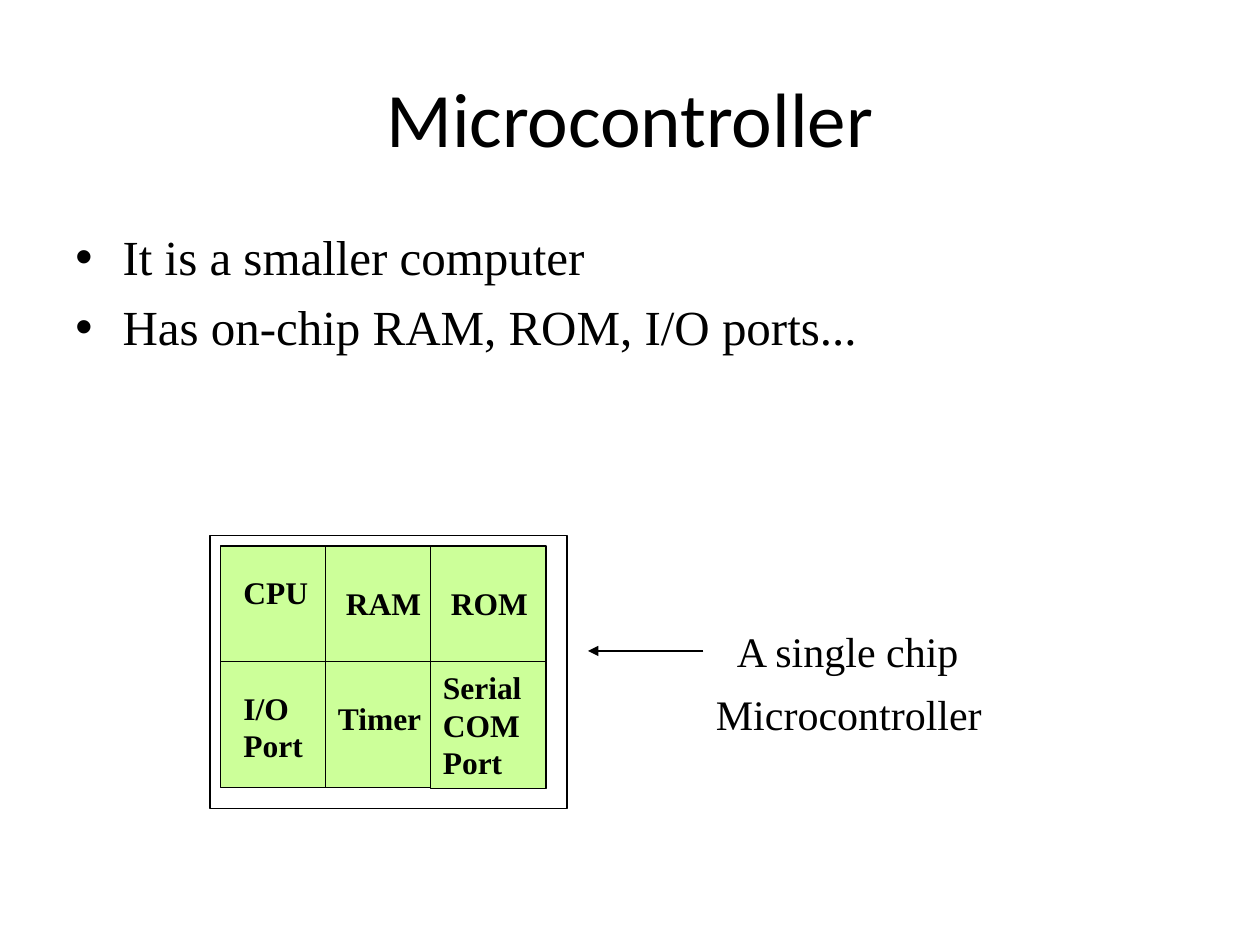
from pptx import Presentation
from pptx import util as u
from pptx.dml import color
from pptx.enum import shapes, text
from pptx.oxml import ns
from lxml import etree

Pt = u.Pt
BLACK, GREEN = "000000", "CCFF99"
SERIF = "Times New Roman"


def rgb(value):
    return color.RGBColor.from_string(value)


def write(shape, lines, size, bold=False, indent=0):
    """Fill a shape with left-aligned, top-anchored serif text."""
    frame = shape.text_frame
    frame.word_wrap = True
    frame.vertical_anchor = text.MSO_ANCHOR.TOP
    frame.margin_left = Pt(7.2 + indent)
    frame.text = "\n".join(lines)
    for paragraph in frame.paragraphs:
        paragraph.alignment = text.PP_ALIGN.LEFT
        font = paragraph.font
        font.name, font.size, font.bold = SERIF, Pt(size), bold
        font.color.rgb = rgb(BLACK)


prs = Presentation()
prs.slide_width, prs.slide_height = Pt(720), Pt(540)
slide = prs.slides.add_slide(prs.slide_layouts[5])
items = slide.shapes

# Title
title = items.title
title.left, title.top, title.width, title.height = Pt(36), Pt(21.6), Pt(648), Pt(90)
title.text_frame.text = "Microcontroller"
title.text_frame.vertical_anchor = text.MSO_ANCHOR.MIDDLE
heading = title.text_frame.paragraphs[0]
heading.alignment = text.PP_ALIGN.CENTER
heading.font.name, heading.font.size = "Calibri", Pt(44)
heading.font.color.rgb = rgb(BLACK)

# Bullet points
points = items.add_textbox(Pt(36), Pt(126), Pt(648), Pt(356.4))
write(points, ["It is a smaller computer", "Has on-chip RAM, ROM, I/O ports..."], 28)
for point in points.text_frame.paragraphs:
    point.space_before = Pt(6.5)
    props = point._p.get_or_add_pPr()
    props.set("marL", str(Pt(27)))
    props.set("indent", str(-Pt(27)))
    etree.SubElement(props, ns.qn("a:buFont")).set("typeface", "Arial")
    bullet = etree.SubElement(props, ns.qn("a:buChar"))
    bullet.set("char", "\u2022")
    # the default run properties must come last
    props.append(props.find(ns.qn("a:defRPr")))

# Chip blocks: a grid of 3 columns by 2 rows
columns = [(126, 60), (186, 60), (246, 66)]
rows = [(312, 66), (378, 72)]
blocks = {}
for row, (top, height) in enumerate(rows):
    for column, (left, width) in enumerate(columns):
        block = items.add_shape(shapes.MSO_SHAPE.RECTANGLE,
                                Pt(left), Pt(top), Pt(width), Pt(height))
        block.shadow.inherit = False
        block.fill.solid()
        block.fill.fore_color.rgb = rgb(GREEN)
        block.line.color.rgb = rgb(BLACK)
        block.line.width = Pt(0.75)
        blocks[row, column] = block

serial_port = blocks[1, 2]
serial_port.height = Pt(72.7)
write(serial_port, ["Serial COM Port"], 18, bold=True)

# Block labels and chip caption: words, left, top, width, height, size, bold, indent
labels = [
    ("CPU", 132, 324, 54, 29, 18, True, 0),
    ("RAM", 186, 330, 72, 29, 18, True, 4.5),
    ("ROM", 246, 330, 66, 29, 18, True, 4.5),
    ("I/O Port", 132, 390, 66, 51, 18, True, 0),
    ("Timer", 186, 396, 66, 29, 18, True, 0),
    ("A single chip", 414, 354, 168, 36, 24, False, 0),
    ("Microcontroller", 402, 390, 178, 36, 24, False, 0),
]
for words, left, top, width, height, size, bold, indent in labels:
    label = items.add_textbox(Pt(left), Pt(top), Pt(width), Pt(height))
    write(label, [words], size, bold, indent)

# Arrow from the caption to the chip
arrow = items.add_connector(shapes.MSO_CONNECTOR.STRAIGHT,
                            Pt(402), Pt(372), Pt(336), Pt(372))
arrow.line.color.rgb = rgb(BLACK)
arrow.line.width = Pt(0.75)
etree.SubElement(arrow.line._get_or_add_ln(), ns.qn("a:tailEnd")).set("type", "triangle")
etree.SubElement(arrow._element.spPr, ns.qn("a:effectLst"))

# Chip outline
chip = items.add_shape(shapes.MSO_SHAPE.RECTANGLE, Pt(120), Pt(306), Pt(204), Pt(156))
chip.shadow.inherit = False
chip.fill.background()
chip.line.color.rgb = rgb(BLACK)
chip.line.width = Pt(0.75)

prs.save("out.pptx")
